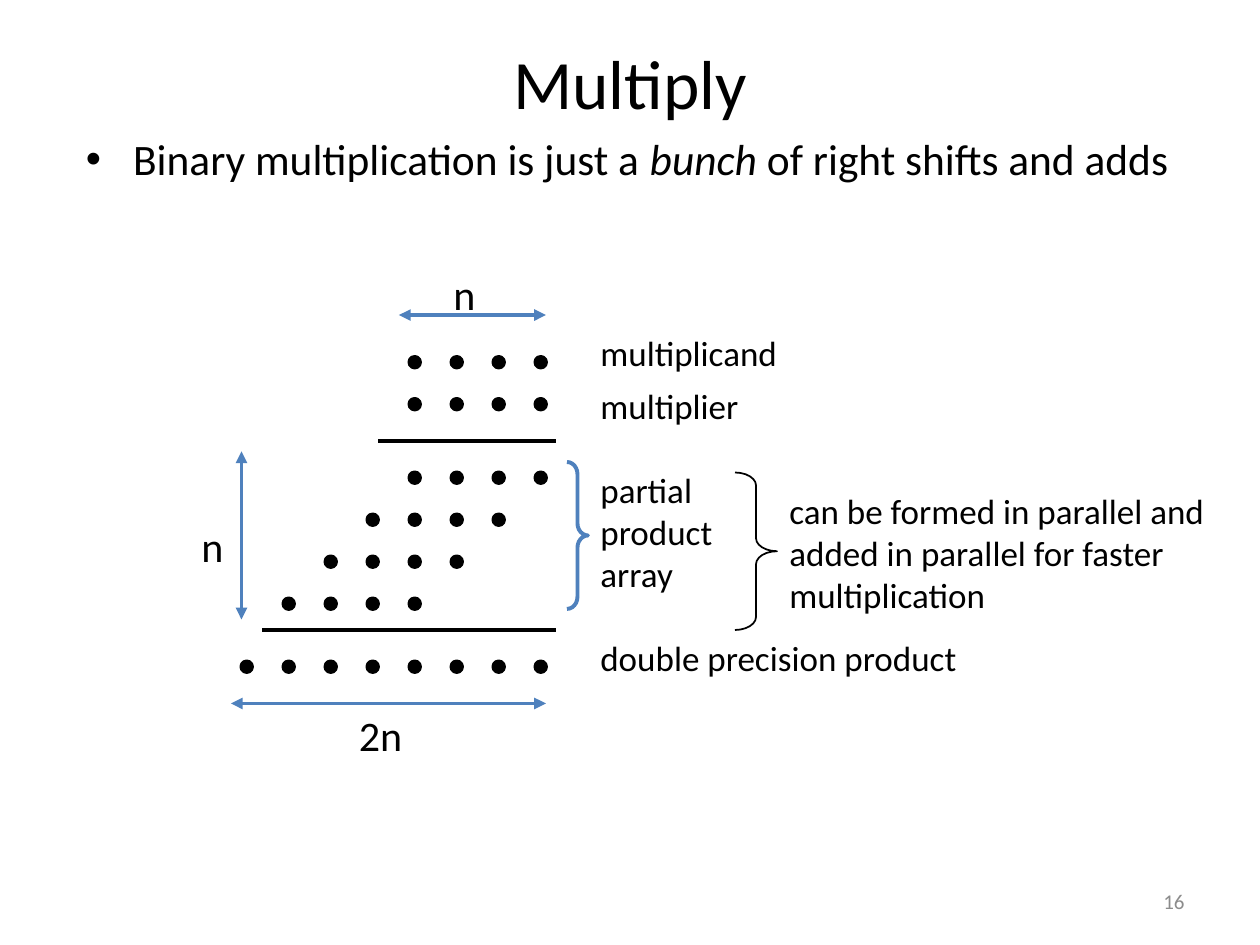
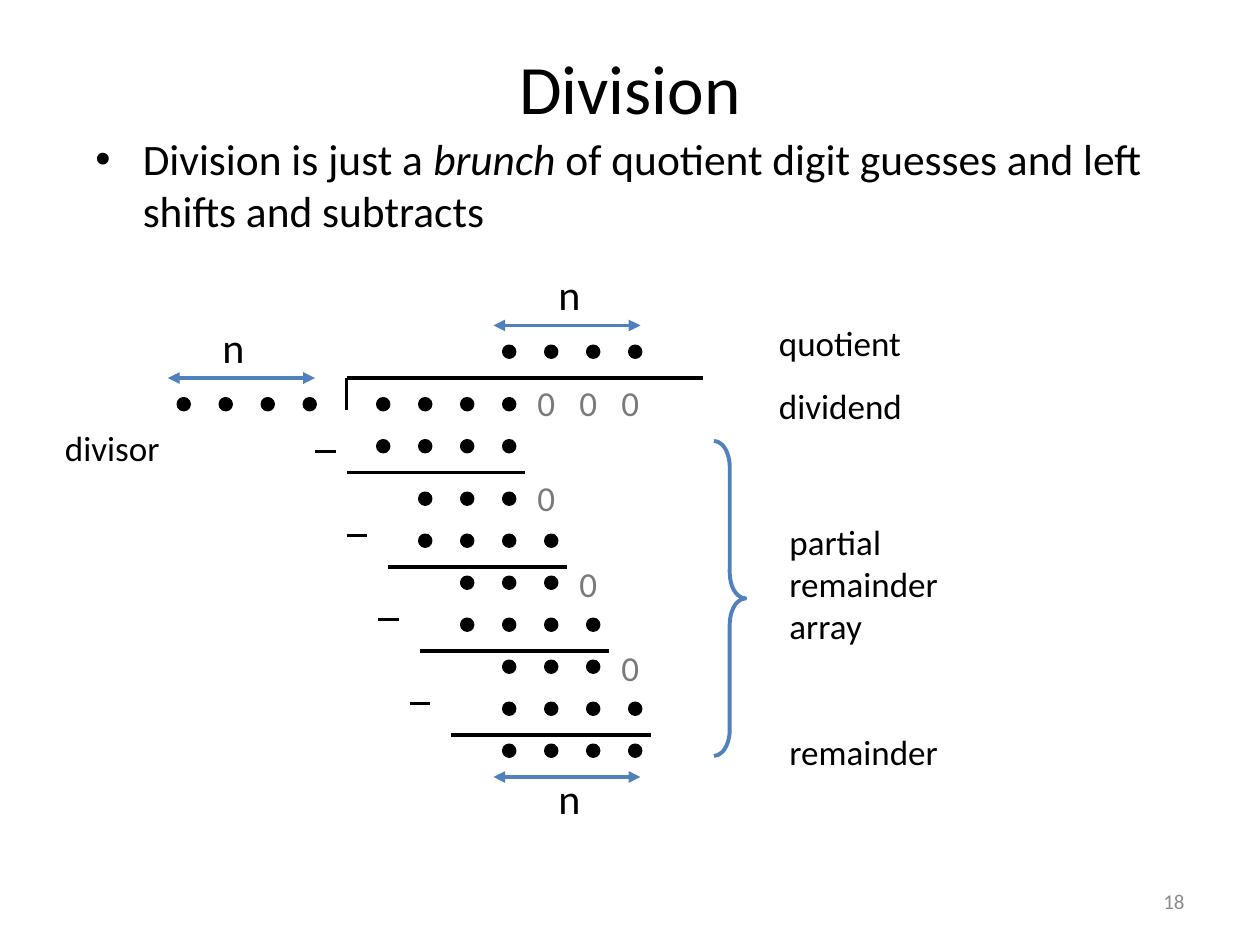
from typing import NamedTuple

from lxml import etree
from pptx import Presentation
from pptx.dml.color import RGBColor
from pptx.enum.shapes import MSO_CONNECTOR, MSO_SHAPE
from pptx.enum.text import MSO_ANCHOR, MSO_AUTO_SIZE, PP_ALIGN
from pptx.oxml.ns import qn
from pptx.util import Pt

STRAIGHT = MSO_CONNECTOR.STRAIGHT
ELLIPSE, RIGHT_BRACE = MSO_SHAPE.OVAL, MSO_SHAPE.RIGHT_BRACE
MIDDLE, NO_AUTOFIT = MSO_ANCHOR.MIDDLE, MSO_AUTO_SIZE.NONE
LEFT, CENTER, RIGHT = PP_ALIGN.LEFT, PP_ALIGN.CENTER, PP_ALIGN.RIGHT

FONT = "Calibri"
BLACK, BLUE, ZERO_GRAY, NUMBER_GRAY = "000000", "4F81BD", "7A7A7A", "8C8C8C"
LINE_WIDTH = 2.25
TITLE_SIZE, BODY_SIZE, DIMENSION_SIZE, LABEL_SIZE, NUMBER_SIZE = 39.6, 24.8, 24, 20, 12
DOT_SIZE, DIGIT_STEP = 6, 24
BODY_INDENT = 27


class DotRow(NamedTuple):
    """One binary number, a dot for each digit."""
    left: float
    top: float
    digits: int = 4


class Rule(NamedTuple):
    x1: float
    y1: float
    x2: float
    y2: float


class Dimension(NamedTuple):
    """A double-headed arrow and the length it stands for."""
    rule: Rule
    text: str
    label_left: float
    label_top: float


class Label(NamedTuple):
    left: float
    top: float
    width: float
    text: str
    height: float = 31
    size: float = LABEL_SIZE
    color: str = BLACK
    align: PP_ALIGN = LEFT


class Brace(NamedTuple):
    left: float
    top: float
    width: float
    height: float
    curve: float
    color: str = BLUE
    line_width: float = LINE_WIDTH


class Diagram(NamedTuple):
    title: str
    title_height: float
    body_left: float
    body_runs: tuple[str, str, str]
    number: str
    dot_rows: list[DotRow]
    rules: list[Rule]
    dimensions: list[Dimension]
    labels: list[Label]
    braces: list[Brace]


MULTIPLY = Diagram(
    title="Multiply",
    title_height=50.4,
    body_left=42,
    body_runs=("Binary multiplication is just a ", "bunch", " of right shifts and adds"),
    number="16",
    dot_rows=[
        DotRow(234, 204),
        DotRow(234, 228),
        *(DotRow(234 - shift * DIGIT_STEP, 270 + shift * 24) for shift in range(4)),
        DotRow(138, 378, 8),
    ],
    rules=[Rule(216, 252, 318, 252), Rule(150, 360, 318, 360)],
    dimensions=[
        Dimension(Rule(228, 180, 312, 180), "n", 252, 150),
        Dimension(Rule(132, 402, 312, 402), "2n", 198, 402),
        Dimension(Rule(138, 354, 138, 258), "n", 108, 294),
    ],
    labels=[
        Label(336, 186, 228, "multiplicand"),
        Label(336, 216, 204, "multiplier"),
        Label(336, 264, 126, "partial\nproduct\narray", 79),
        Label(336, 360, 288, "double precision product"),
        Label(444, 276, 258, "can be formed in parallel and added in parallel "
                             "for faster multiplication", 79),
    ],
    braces=[Brace(324, 264, 12, 84, 0.58), Brace(420, 270, 24, 90, 0.31, BLACK, 1)],
)

ZERO_PLACES = [(300, 214.6), (324, 214.6), (348, 214.6), (300, 268.6), (324, 318), (348, 366)]

DIVISION = Diagram(
    title="Division",
    title_height=56.2,
    body_left=47.5,
    body_runs=("Division is just a ", "brunch ",
               "of quotient digit guesses and left shifts and subtracts"),
    number="18",
    dot_rows=[
        DotRow(288, 198),
        DotRow(102, 228),
        DotRow(216, 228),
        DotRow(216, 252),
        *(DotRow(216 + step * DIGIT_STEP, 234 + step * 48, 3) for step in range(1, 4)),
        *(DotRow(216 + step * DIGIT_STEP, 258 + step * 48) for step in range(1, 4)),
        DotRow(288, 426),
    ],
    rules=[
        Rule(198, 216, 402, 216),
        Rule(198, 216, 198, 234),
        Rule(198, 270, 300, 270),
        Rule(222, 324, 324, 324),
        Rule(240, 372, 348, 372),
        Rule(258, 420, 372, 420),
        *(Rule(180 + step * 18, 258 + step * 48, 192 + step * 18, 258 + step * 48)
          for step in range(4)),
    ],
    dimensions=[
        Dimension(Rule(96, 216, 180, 216), "n", 120, 180),
        Dimension(Rule(282, 186, 366, 186), "n", 312, 150),
        Dimension(Rule(282, 444, 366, 444), "n", 312, 438),
    ],
    labels=[
        Label(438, 180, 132, "quotient"),
        Label(438, 216, 126, "dividend"),
        Label(30, 240, 126, "divisor"),
        Label(444, 294, 126, "partial\nremainder\narray", 79),
        Label(444, 414, 156, "remainder"),
        *(Label(left, top, 24, "0", color=ZERO_GRAY) for left, top in ZERO_PLACES),
    ],
    braces=[Brace(408, 252, 18, 180, 0.83)],
)


def rgb(color: str) -> RGBColor:
    return RGBColor.from_string(color)


def format_paragraph(paragraph, size: float, color: str = BLACK, align: PP_ALIGN = LEFT) -> None:
    paragraph.alignment = align
    paragraph.font.name = FONT
    paragraph.font.size = Pt(size)
    paragraph.font.color.rgb = rgb(color)


def set_outline(shape, color: str, width: float = LINE_WIDTH) -> None:
    shape.line.color.rgb = rgb(color)
    shape.line.width = Pt(width)


def draw_title(slide, text: str, height: float) -> None:
    title = slide.shapes.title
    title.left, title.top, title.width, title.height = Pt(36), Pt(21.6), Pt(648), Pt(height)
    frame = title.text_frame
    frame.text = text
    frame.auto_size = NO_AUTOFIT
    frame.vertical_anchor = MIDDLE
    format_paragraph(frame.paragraphs[0], TITLE_SIZE, align=CENTER)


def draw_body(slide, left: float, texts: tuple[str, str, str]) -> None:
    """Write the bullet whose middle run is italic."""
    box = slide.shapes.add_textbox(Pt(left), Pt(72), Pt(684 - left), Pt(55.4))
    box.text_frame.word_wrap = True
    paragraph = box.text_frame.paragraphs[0]
    properties = paragraph._p.get_or_add_pPr()
    properties.set("marL", str(Pt(BODY_INDENT)))
    properties.set("indent", str(-Pt(BODY_INDENT)))
    etree.SubElement(properties, qn("a:buFont"), typeface="Arial")
    etree.SubElement(properties, qn("a:buChar"), char="•")
    format_paragraph(paragraph, BODY_SIZE)
    for text in texts:
        paragraph.add_run().text = text
    paragraph.runs[1].font.italic = True


def draw_label(slide, label: Label):
    box = slide.shapes.add_textbox(
        Pt(label.left), Pt(label.top), Pt(label.width), Pt(label.height))
    frame = box.text_frame
    frame.word_wrap = True
    frame.text = label.text
    for paragraph in frame.paragraphs:
        format_paragraph(paragraph, label.size, label.color, label.align)
    return box


def draw_dot_row(slide, row: DotRow) -> None:
    for digit in range(row.digits):
        dot = slide.shapes.add_shape(
            ELLIPSE, Pt(row.left + digit * DIGIT_STEP), Pt(row.top), Pt(DOT_SIZE), Pt(DOT_SIZE))
        dot.shadow.inherit = False
        dot.fill.solid()
        dot.fill.fore_color.rgb = rgb(BLACK)
        set_outline(dot, BLACK)


def draw_rule(slide, rule: Rule, color: str = BLACK, arrowheads: bool = False) -> None:
    connector = slide.shapes.add_connector(STRAIGHT, *(Pt(length) for length in rule))
    set_outline(connector, color)
    if arrowheads:
        for end in ("a:headEnd", "a:tailEnd"):
            etree.SubElement(connector.line._get_or_add_ln(), qn(end), type="triangle")
    etree.SubElement(connector._element.spPr, qn("a:effectLst"))


def draw_dimension(slide, dimension: Dimension) -> None:
    draw_rule(slide, dimension.rule, BLUE, arrowheads=True)
    draw_label(slide, Label(dimension.label_left, dimension.label_top, 42, dimension.text,
                            36, DIMENSION_SIZE))


def draw_brace(slide, brace: Brace) -> None:
    shape = slide.shapes.add_shape(
        RIGHT_BRACE, Pt(brace.left), Pt(brace.top), Pt(brace.width), Pt(brace.height))
    shape.shadow.inherit = False
    shape.adjustments[0] = brace.curve
    shape.fill.background()
    set_outline(shape, brace.color, brace.line_width)


def draw_slide_number(slide, number: str) -> None:
    box = draw_label(slide, Label(516, 500.4, 168, number, 28.8, NUMBER_SIZE, NUMBER_GRAY, RIGHT))
    box.text_frame.vertical_anchor = MIDDLE


def draw_diagram(presentation, diagram: Diagram) -> None:
    slide = presentation.slides.add_slide(presentation.slide_layouts.get_by_name("Title Only"))
    draw_title(slide, diagram.title, diagram.title_height)
    draw_body(slide, diagram.body_left, diagram.body_runs)
    for row in diagram.dot_rows:
        draw_dot_row(slide, row)
    for rule in diagram.rules:
        draw_rule(slide, rule)
    for dimension in diagram.dimensions:
        draw_dimension(slide, dimension)
    for label in diagram.labels:
        draw_label(slide, label)
    for brace in diagram.braces:
        draw_brace(slide, brace)
    draw_slide_number(slide, diagram.number)


def main() -> None:
    presentation = Presentation()
    presentation.slide_width, presentation.slide_height = Pt(720), Pt(540)
    for diagram in (MULTIPLY, DIVISION):
        draw_diagram(presentation, diagram)
    presentation.save("out.pptx")


if __name__ == "__main__":
    main()
